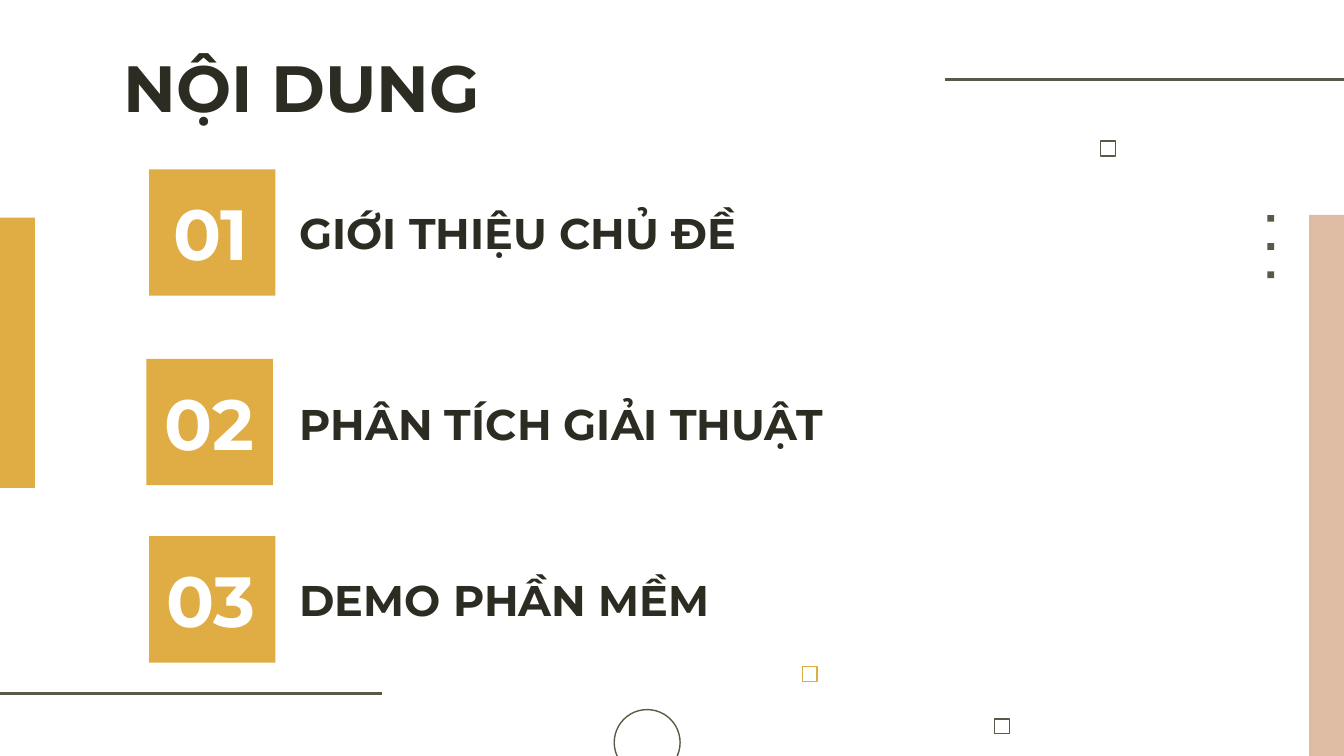
from pptx import Presentation
from pptx.dml.color import RGBColor
from pptx.enum.shapes import MSO_CONNECTOR as CONN, MSO_SHAPE as SHAPE
from pptx.enum.text import MSO_ANCHOR as ANCHOR, PP_ALIGN as ALIGN
from pptx.oxml.ns import qn
from pptx.util import Inches, Pt
from lxml import etree

GOLD = RGBColor(0xE0, 0xAC, 0x44)
SAND = RGBColor(0xDD, 0xBC, 0xA3)
OLIVE = RGBColor(0x5B, 0x59, 0x46)
INK = RGBColor(0x2D, 0x2C, 0x23)
WHITE = RGBColor(0xFF, 0xFF, 0xFF)


class Deck:
    font = "Montserrat"
    inset = Inches(0.1)

    def __init__(self, s):
        self.s = s

    def shape(self, x, y, w, h, fill=None, line=None, kind=SHAPE.RECTANGLE):
        sp = self.s.shapes.add_shape(kind, Inches(x), Inches(y), Inches(w), Inches(h))
        sp.shadow.inherit = False
        if fill is None:
            sp.fill.background()
        else:
            sp.fill.solid()
            sp.fill.fore_color.rgb = fill
        if line is None:
            sp.line.fill.background()
        else:
            sp.line.color.rgb = line
            sp.line.width = Pt(0.75)

    def text(self, x, y, w, h, words, size, color=INK, align=ALIGN.LEFT):
        sp = self.s.shapes.add_textbox(Inches(x), Inches(y), Inches(w), Inches(h))
        tf = sp.text_frame
        tf.word_wrap = True
        tf.vertical_anchor = ANCHOR.MIDDLE
        tf.margin_left = tf.margin_right = tf.margin_top = tf.margin_bottom = self.inset
        p = tf.paragraphs[0]
        p.alignment = align
        r = p.add_run()
        r.text = words
        r.font.name = self.font
        r.font.size = Pt(size)
        r.font.bold = True
        r.font.color.rgb = color

    def rule(self, x1, x2, y):
        c = self.s.shapes.add_connector(CONN.STRAIGHT, Inches(x1), Inches(y), Inches(x2), Inches(y))
        c.line.color.rgb = OLIVE
        c.line.width = Pt(1.5)
        etree.SubElement(c._element.spPr, qn("a:effectLst"))


def main():
    prs = Presentation()
    prs.slide_width = Inches(10)
    prs.slide_height = prs.slide_width * 9 // 16
    d = Deck(prs.slides.add_slide(prs.slide_layouts[6]))

    # Numbered agenda: square x and y, number x, topic y
    side = 0.94
    agenda = [
        (1.11, 1.26, 1, 1.26, "GIỚI THIỆU CHỦ ĐỀ"),
        (1.09, 2.67, 0.99, 2.68, "PHÂN TÍCH GIẢI THUẬT"),
        (1.11, 3.99, 1, 3.99, "DEMO PHẦN MỀM"),
    ]
    for x, y, *_ in agenda:
        d.shape(x, y, side, side, fill=GOLD)

    # Title
    d.text(0.82, 0.33, 8.36, 0.63, "NỘI DUNG", 35)

    # Topics, then numbers
    for *_, topic_y, topic in agenda:
        d.text(2.13, topic_y, 6.76, side, topic, 23)
    for i, (_, y, number_x, *_) in enumerate(agenda, 1):
        d.text(number_x, y + 0.15, 1.14, 0.64, f"{i:02}", 38, WHITE, ALIGN.CENTER)

    # Right bar and column of dots
    d.shape(9.74, 1.6, 0.26, 4.03, fill=SAND)
    for i in range(3):
        d.shape(9.43, 1.6 + 0.21 * i, 0.05, 0.05, fill=OLIVE)

    # Rules and left bar
    d.rule(7.03, 10.08, 0.59)
    d.shape(0, 1.62, 0.26, 2.01, fill=GOLD)
    d.rule(-0.21, 2.84, 5.16)

    # Outlined circle and squares
    d.shape(4.57, 5.28, 0.49, 0.49, line=OLIVE, kind=SHAPE.OVAL)
    for x, y, color in [(5.97, 4.96, GOLD), (7.4, 5.35, OLIVE), (8.19, 1.05, OLIVE)]:
        d.shape(x, y, 0.11, 0.11, line=color)

    prs.save("out.pptx")


if __name__ == "__main__":
    main()
